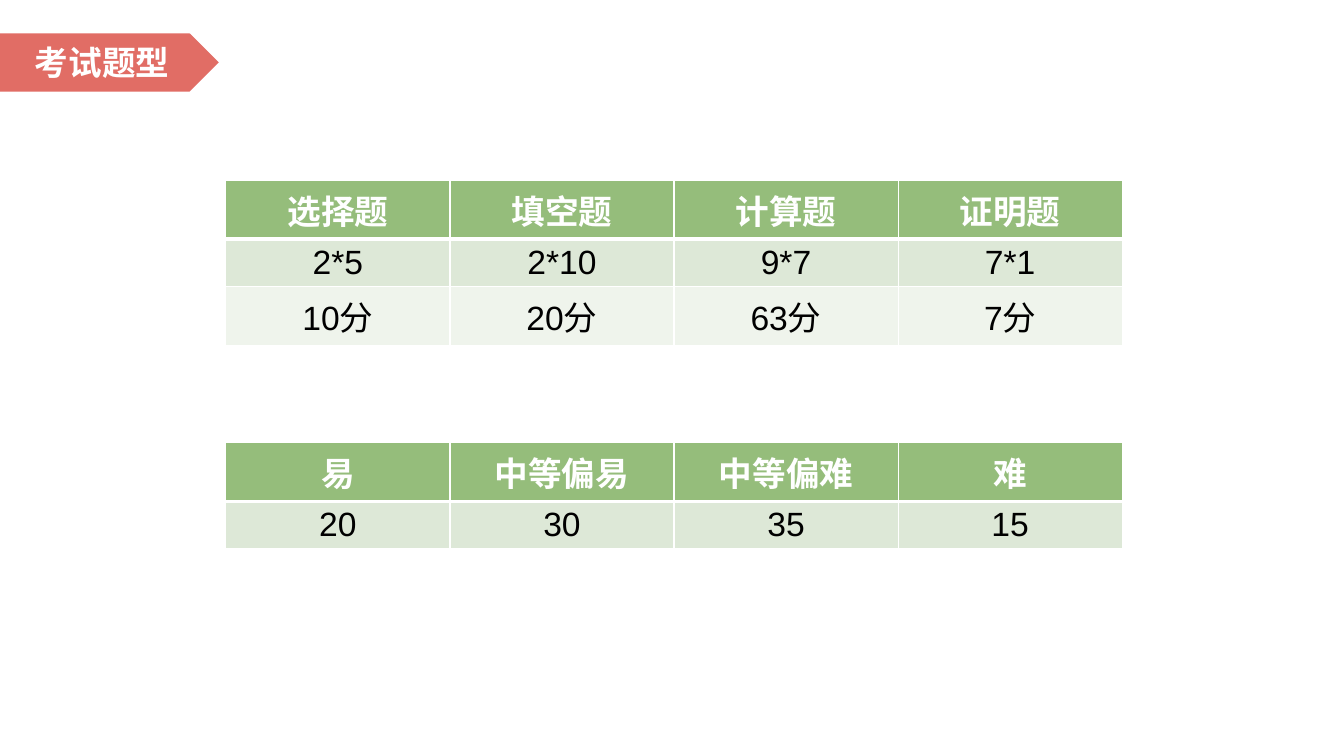
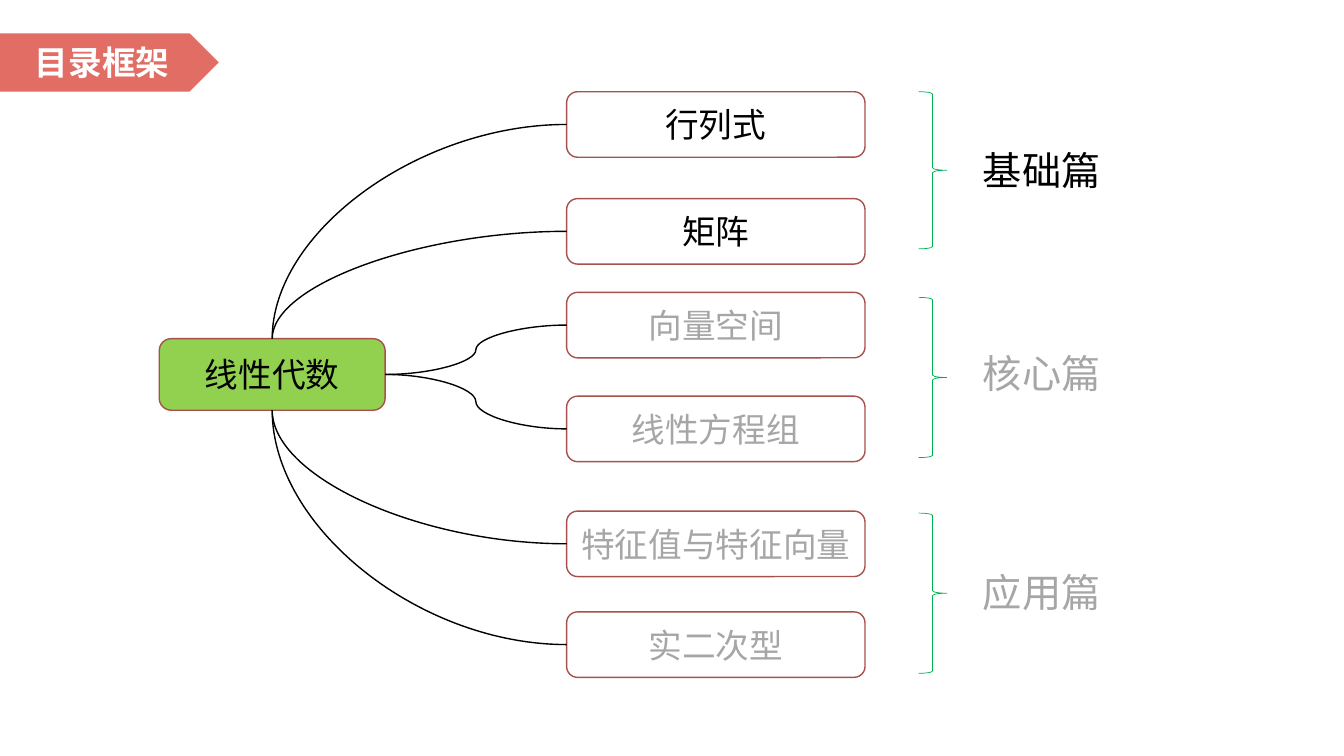
from dataclasses import dataclass

from lxml import etree
from pptx import Presentation
from pptx import util as u
from pptx.dml.color import RGBColor
from pptx.enum import shapes, text
from pptx.oxml import ns


@dataclass(frozen=True)
class Theme:
    coral: str = "E16D65"
    head: str = "95BD7B"
    bands: tuple = ("DDE8D7", "EFF4EC")
    lime: str = "92D050"
    brick: str = "A6514B"
    green: str = "00B050"
    black: str = "000000"
    gray: str = "A6A6A6"
    white: str = "FFFFFF"
    body: int = 24
    large: int = 28
    grid: str = "Arial"
    node: str = "Noto Sans CJK SC"
    title: str = "Noto Sans CJK JP"


class Deck:
    def __init__(self, theme):
        self.theme = theme
        self.prs = Presentation()
        self.prs.slide_width = u.Inches(13.33)
        self.prs.slide_height = u.Inches(7.5)
        self.slide = None

    def page(self, title):
        t = self.theme
        self.slide = self.prs.slides.add_slide(self.prs.slide_layouts[6])
        tag = self.shape("PENTAGON", (0, 0.33, 2.17, 0.58), fill=t.coral)
        self.words(tag.text_frame, title, t.title, t.white, bold=True)

    def words(self, frame, label, face, color, size=None, bold=False, align="CENTER"):
        para = frame.paragraphs[0]
        para.alignment = text.PP_ALIGN[align]
        run = para.add_run()
        run.text = label
        form = {"name": face, "size": u.Pt(size or self.theme.body), "bold": bold}
        for key, value in form.items():
            setattr(run.font, key, value)
        run.font.color.rgb = RGBColor.from_string(color)
        east = self.theme.node if face == self.theme.grid else face
        props = run._r.get_or_add_rPr()
        etree.SubElement(props, ns.qn("a:ea")).set("typeface", east)

    def stroke(self, line, color, width):
        line.color.rgb = RGBColor.from_string(color)
        line.width = u.Pt(width)

    def shape(self, kind, box, fill=None, line=None, width=1):
        item = self.slide.shapes.add_shape(shapes.MSO_SHAPE[kind], *map(u.Inches, box))
        item.shadow.inherit = False
        if fill:
            item.fill.solid()
            item.fill.fore_color.rgb = RGBColor.from_string(fill)
        else:
            item.fill.background()
        if line:
            self.stroke(item.line, line, width)
        else:
            item.line.fill.background()
        return item

    def node(self, label, box, color, fill=None):
        item = self.shape("ROUNDED_RECTANGLE", box, fill, self.theme.brick)
        form = {"word_wrap": False, "vertical_anchor": text.MSO_ANCHOR.MIDDLE}
        for key, value in form.items():
            setattr(item.text_frame, key, value)
        self.words(item.text_frame, label, self.theme.node, color)
        return item

    def label(self, label, box, color):
        frame = self.slide.shapes.add_textbox(*map(u.Inches, box)).text_frame
        form = {"word_wrap": True, "auto_size": text.MSO_AUTO_SIZE.SHAPE_TO_FIT_TEXT}
        for key, value in form.items():
            setattr(frame, key, value)
        self.words(frame, label, self.theme.title, color, self.theme.large, align="LEFT")

    def curve(self, start, site, end, stop, bend):
        link = self.slide.shapes.add_connector(shapes.MSO_CONNECTOR.CURVE, 0, 0, 0, 0)
        link.begin_connect(start, site)
        link.end_connect(end, stop)
        self.stroke(link.line, self.theme.black, 1)
        props = link._element.spPr
        props.find(ns.qn("a:prstGeom")).set("prst", bend)
        etree.SubElement(props, ns.qn("a:effectLst"))

    def border(self, cell, widths):
        props = cell._tc.get_or_add_tcPr()
        for spot, (side, width) in enumerate(widths.items()):
            line = etree.Element(ns.qn("a:ln" + side), w=str(u.Pt(width)))
            fill = etree.SubElement(line, ns.qn("a:solidFill"))
            etree.SubElement(fill, ns.qn("a:srgbClr"), val=self.theme.white)
            props.insert(spot, line)

    def table(self, top, rows):
        t = self.theme
        box = (2.24, top, 8.89, 0.41 * len(rows))
        grid = self.slide.shapes.add_table(len(rows), len(rows[0]), *map(u.Inches, box)).table
        for r, row in enumerate(rows):
            first = r == 0
            fill = t.head if first else t.bands[(r - 1) % 2]
            sides = {"L": 1, "R": 1, "T": 3 if r == 1 else 1, "B": 3 if first else 1}
            for c, label in enumerate(row):
                cell = grid.cell(r, c)
                cell.fill.solid()
                cell.fill.fore_color.rgb = RGBColor.from_string(fill)
                self.border(cell, sides)
                color = t.white if first else t.black
                self.words(cell.text_frame, label, t.grid, color, bold=first)


def exam(deck):
    deck.page("考试题型")
    deck.table(1.79, [
        ("选择题", "填空题", "计算题", "证明题"),
        ("2*5", "2*10", "9*7", "7*1"),
        ("10分", "20分", "63分", "7分"),
    ])
    deck.table(4.39, [
        ("易", "中等偏易", "中等偏难", "难"),
        ("20", "30", "35", "15"),
    ])


def outline(deck):
    t = deck.theme
    deck.page("目录框架")
    root = deck.node("线性代数", (1.58, 3.36, 2.24, 0.71), t.black, t.lime)
    parts = [
        ("基础篇", 1.4, 0.91, 1.56, t.black, 0, [("行列式", 0.91), ("矩阵", 1.97)]),
        ("核心篇", 3.42, 2.95, 1.59, t.gray, 3, [("向量空间", 2.9), ("线性方程组", 3.93)]),
        ("应用篇", 5.59, 5.09, 1.59, t.gray, 2, [("特征值与特征向量", 5.07), ("实二次型", 6.07)]),
    ]
    for name, top, brace, height, color, site, nodes in parts:
        for label, y in nodes:
            leaf = deck.node(label, (5.62, y, 2.96, 0.65), color)
            if site == 3:
                deck.curve(root, site, leaf, 1, "curvedConnector3")
            else:
                deck.curve(leaf, 1, root, site, "curvedConnector2")
        deck.shape("RIGHT_BRACE", (9.11, brace, 0.28, height), line=t.green, width=0.5)
        deck.label(name, (9.65, top, 1.72, 0.57), color)


def main():
    deck = Deck(Theme())
    exam(deck)
    outline(deck)
    deck.prs.save("out.pptx")


if __name__ == "__main__":
    main()
